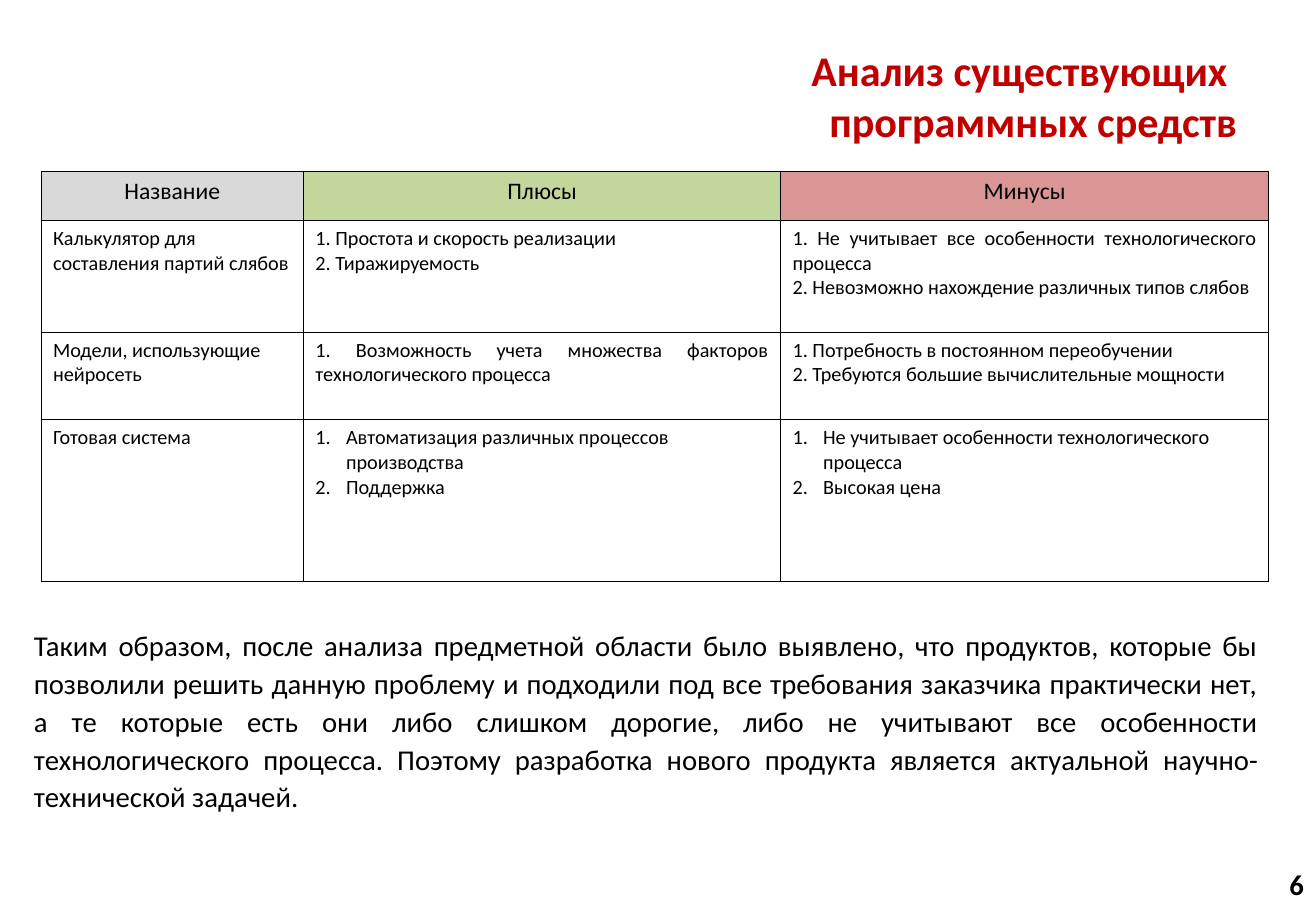
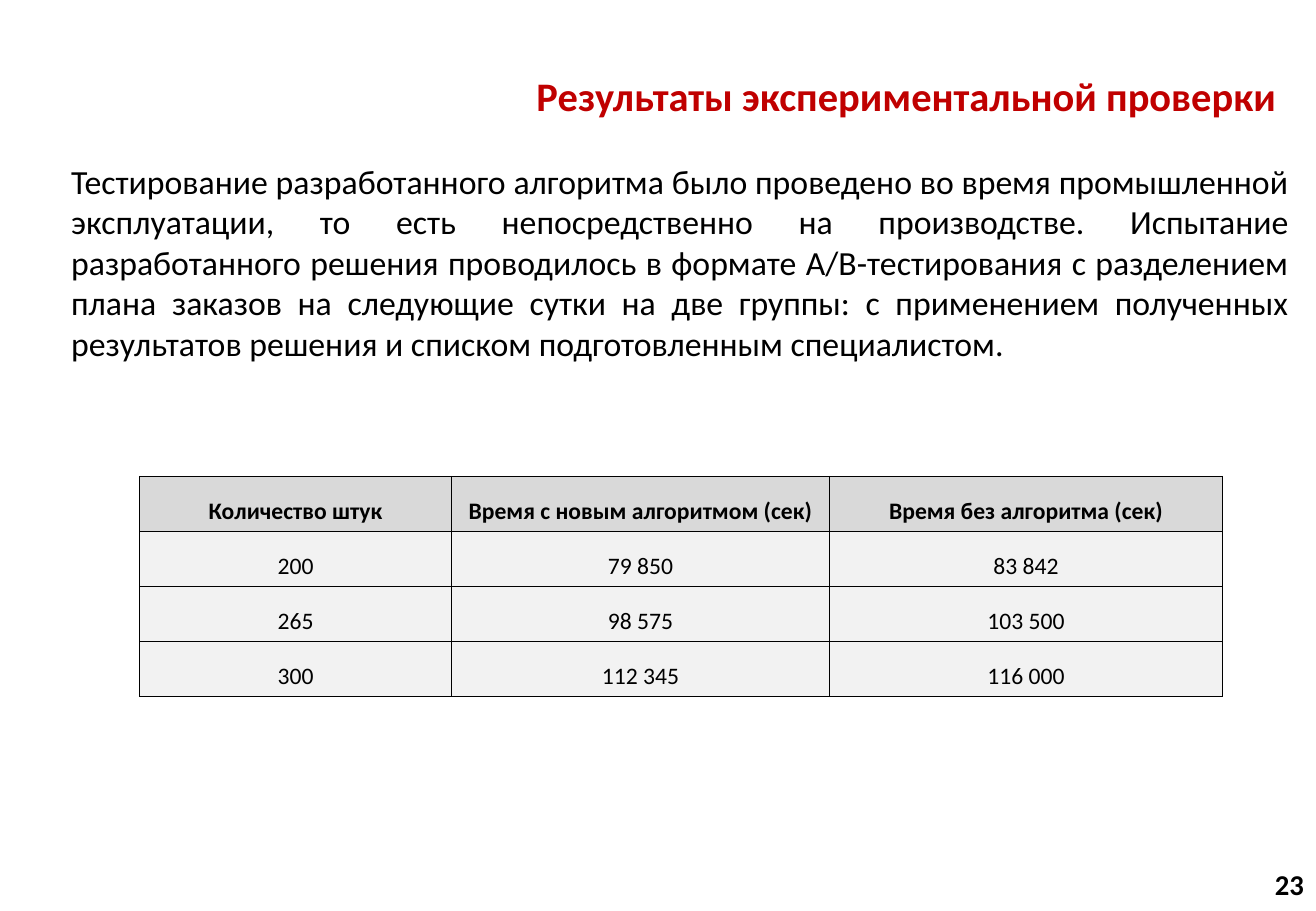
from lxml.etree import SubElement
from pptx import Presentation
from pptx.dml.color import RGBColor
from pptx.enum.text import MSO_ANCHOR, MSO_AUTO_SIZE, PP_ALIGN
from pptx.oxml.ns import qn
from pptx.util import Cm, Pt

FONT = "Calibri"
BLACK, RED = "000000", "C00000"
GREY, PALE_GREY, GREEN, PINK = "D9D9D9", "F2F2F2", "C3D69B", "D99694"
LEFT, RIGHT = PP_ALIGN.LEFT, PP_ALIGN.RIGHT
CENTER, JUSTIFY = PP_ALIGN.CENTER, PP_ALIGN.JUSTIFY
THIN, THICK = 0.45, 0.96
LIST_INDENT = Cm(0.64)

TOOLS_HEADER = [("Название", GREY), ("Плюсы", GREEN), ("Минусы", PINK)]
# Each cell: alignment, automatic numbering, paragraphs
TOOLS_ROWS = [
    [(LEFT, False, ["Калькулятор для составления партий слябов"]),
     (JUSTIFY, False, ["1. Простота и скорость реализации",
                       "2. Тиражируемость"]),
     (JUSTIFY, False, ["1. Не учитывает все особенности технологического процесса",
                       "2. Невозможно нахождение различных типов слябов"])],
    [(LEFT, False, ["Модели, использующие нейросеть"]),
     (JUSTIFY, False, ["1. Возможность учета множества факторов "
                       "технологического процесса"]),
     (LEFT, False, ["1. Потребность в постоянном переобучении",
                    "2. Требуются большие вычислительные мощности"])],
    [(LEFT, False, ["Готовая система"]),
     (LEFT, True, ["Автоматизация различных процессов производства",
                   "Поддержка"]),
     (LEFT, True, ["Не учитывает особенности технологического процесса",
                   "Высокая цена"])],
]
CONCLUSION = (
    "Таким образом, после анализа предметной области было выявлено, что продуктов, "
    "которые бы позволили решить данную проблему и подходили под все требования "
    "заказчика практически нет, а те которые есть они либо слишком дорогие, либо не "
    "учитывают все особенности технологического процесса. Поэтому разработка нового "
    "продукта является актуальной научно-технической задачей."
)
TESTING = (
    "Тестирование разработанного алгоритма было проведено во время промышленной "
    "эксплуатации, то есть непосредственно на производстве. Испытание разработанного "
    "решения проводилось в формате A/B-тестирования с разделением плана заказов на "
    "следующие сутки на две группы: с применением полученных результатов решения и "
    "списком подготовленным специалистом."
)
TIMES = [
    ["Количество штук", "Время с новым алгоритмом (сек)", "Время без алгоритма (сек)"],
    ["200", "79 850", "83 842"],
    ["265", "98 575", "103 500"],
    ["300", "112 345", "116 000"],
]


def color(hex_code):
    return RGBColor.from_string(hex_code)


def number_paragraph(para):
    properties = para._p.get_or_add_pPr()
    properties.set("marL", str(LIST_INDENT))
    properties.set("indent", str(-LIST_INDENT))
    SubElement(properties, qn("a:buFont"), typeface="+mj-lt")
    SubElement(properties, qn("a:buAutoNum"), type="arabicPeriod")


def write(frame, paragraphs, size, align, bold=False, ink=BLACK, spacing=None,
          numbered=False):
    """Fill a text frame; a paragraph given as a tuple is split into lines."""
    for index, lines in enumerate(paragraphs):
        para = frame.paragraphs[0] if index == 0 else frame.add_paragraph()
        para.alignment = align
        if spacing:
            para.line_spacing = spacing
        if numbered:
            number_paragraph(para)
        for line_index, line in enumerate([lines] if isinstance(lines, str) else lines):
            if line_index:
                para.add_line_break()
            span = para.add_run()
            span.text = line
            span.font.name = FONT
            span.font.size = Pt(size)
            span.font.bold = bold
            span.font.color.rgb = color(ink)


def add_text(page, place, text, size, align, anchor=MSO_ANCHOR.TOP, **style):
    box = page.shapes.add_textbox(*map(Cm, place))
    frame = box.text_frame
    frame.word_wrap = True
    frame.vertical_anchor = anchor
    write(frame, [text], size, align, **style)


def add_page(deck, title_lines, title_size, title_width, number):
    """Add a page with the shared title style and page number."""
    page = deck.slides.add_slide(deck.slide_layouts[5])
    title = page.shapes.title
    title.left, title.top = Cm(1.37), Cm(1.22)
    title.width, title.height = Cm(title_width), Cm(1.55)
    frame = title.text_frame
    frame.auto_size = MSO_AUTO_SIZE.NONE
    frame.vertical_anchor = MSO_ANCHOR.MIDDLE
    write(frame, [title_lines], title_size, RIGHT, bold=True, ink=RED)
    add_text(page, (21.11, 18.03, 6.42, 1.02), number, 17, RIGHT,
             MSO_ANCHOR.MIDDLE, bold=True, spacing=0.9)
    return page


def add_grid(page, left, top, widths, heights):
    table = page.shapes.add_table(len(heights), len(widths), Cm(left), Cm(top),
                                  Cm(sum(widths)), Cm(sum(heights))).table
    table.first_row = table.horz_banding = False
    for column, width in zip(table.columns, widths):
        column.width = Cm(width)
    for row, height in zip(table.rows, heights):
        row.height = Cm(height)
    return table


def style_cell(cell, fill=None, side_margin=0.25, top=THIN, bottom=THIN):
    cell.margin_left = cell.margin_right = Cm(side_margin)
    cell.margin_top = cell.margin_bottom = Cm(0.13)
    properties = cell._tc.get_or_add_tcPr()
    for side, width in (("L", THIN), ("R", THIN), ("T", top), ("B", bottom)):
        line = SubElement(properties, qn(f"a:ln{side}"), w=str(Pt(width)))
        solid = SubElement(line, qn("a:solidFill"))
        SubElement(solid, qn("a:srgbClr"), val=BLACK)
    if fill:
        cell.fill.solid()
        cell.fill.fore_color.rgb = color(fill)
    else:
        cell.fill.background()


def add_tools_page(deck):
    page = add_page(deck, ("Анализ существующих ", "программных средств"),
                    25, 24.76, "6")
    table = add_grid(page, 0.86, 3.58, [5.49, 9.98, 10.21], [1.02, 2.34, 1.83, 3.38])
    for column, (label, fill) in enumerate(TOOLS_HEADER):
        cell = table.cell(0, column)
        style_cell(cell, fill)
        write(cell.text_frame, [label], 14, CENTER)
    for row, cells in enumerate(TOOLS_ROWS, start=1):
        for column, (align, numbered, paragraphs) in enumerate(cells):
            cell = table.cell(row, column)
            style_cell(cell)
            write(cell.text_frame, paragraphs, 12, align, numbered=numbered)
    add_text(page, (0.46, 12.93, 26.11, 4.22), CONCLUSION, 17, JUSTIFY, spacing=1.1)


def add_results_page(deck):
    page = add_page(deck, "Результаты экспериментальной проверки", 24, 25.58, "23")
    add_text(page, (1.24, 3.23, 25.98, 5.51), TESTING, 20, JUSTIFY)
    table = add_grid(page, 2.92, 9.96, [6.53, 7.9, 8.23], [1.07] * len(TIMES))
    for row, values in enumerate(TIMES):
        header = row == 0
        for column, value in enumerate(values):
            cell = table.cell(row, column)
            style_cell(cell, GREY if header else PALE_GREY, 0.2,
                       top=THICK if row == 1 else THIN,
                       bottom=THICK if header else THIN)
            write(cell.text_frame, [value], 14, CENTER, bold=header, spacing=1.5)


def main():
    deck = Presentation()
    deck.slide_width, deck.slide_height = Cm(27.53), Cm(19.05)
    add_tools_page(deck)
    add_results_page(deck)
    deck.save("out.pptx")


if __name__ == "__main__":
    main()
